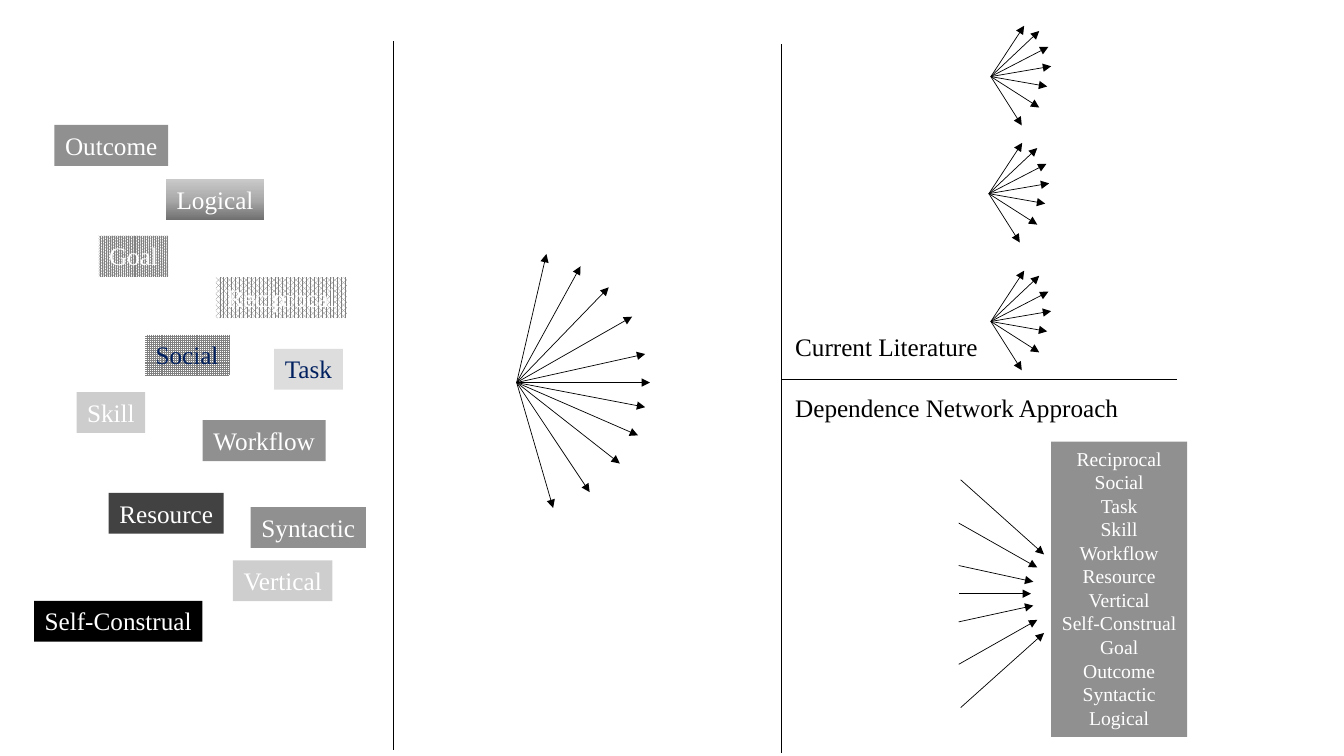
from copy import deepcopy
from typing import NamedTuple

from lxml import etree
from pptx import Presentation
from pptx.dml.color import RGBColor
from pptx.enum.dml import MSO_PATTERN
from pptx.enum.shapes import MSO_CONNECTOR, MSO_SHAPE
from pptx.enum.text import MSO_ANCHOR, MSO_AUTO_SIZE, PP_ALIGN
from pptx.oxml.ns import qn
from pptx.util import Cm, Pt

RECTANGLE = MSO_SHAPE.RECTANGLE
STRAIGHT = MSO_CONNECTOR.STRAIGHT
DENSE, MEDIUM, GRID = MSO_PATTERN.PERCENT_90, MSO_PATTERN.PERCENT_75, MSO_PATTERN.SMALL_GRID
CENTER, LEFT = PP_ALIGN.CENTER, PP_ALIGN.LEFT
TOP, FIT_SHAPE = MSO_ANCHOR.TOP, MSO_AUTO_SIZE.SHAPE_TO_FIT_TEXT

FONT = "Times New Roman"
BLACK, WHITE, GRAY, NAVY = "000000", "FFFFFF", "808080", "002060"
LINE_HEIGHT = 1.03

Point = tuple[float, float]


class Solid(NamedTuple):
    color: str = GRAY
    opacity: int = 87


class Pattern(NamedTuple):
    kind: MSO_PATTERN


class Gradient(NamedTuple):
    stops: tuple[tuple[float, str], ...]


class Tag(NamedTuple):
    text: str
    left: float
    top: float
    width: float
    fill: Solid | Pattern | Gradient = Solid()
    color: str = WHITE
    height: float = LINE_HEIGHT
    size: int = 18


# Dependence types, top to bottom
TAGS = [
    Tag("Outcome", 1.37, 3.15, 2.87),
    Tag("Logical", 4.19, 4.52, 2.46, Gradient(((0, "6F6F6F"), (0.48, "A8A8A8"), (1, "C9C9C9")))),
    Tag("Goal", 2.49, 5.94, 1.75, Pattern(DENSE)),
    Tag("Reciprocal", 5.44, 6.99, 3.3, Pattern(MEDIUM)),
    Tag("Social", 3.66, 8.43, 2.11, Pattern(GRID), NAVY),
    Tag("Task", 6.91, 8.79, 1.73, Solid("D9D9D9"), NAVY),
    Tag("Skill", 1.93, 9.88, 1.73, Solid(GRAY, 39)),
    Tag("Workflow", 5.11, 10.59, 3.1),
    Tag("Resource", 2.74, 12.42, 2.9, Solid("262626")),
    Tag("Syntactic", 6.32, 12.78, 2.9),
    Tag("Vertical", 5.87, 14.12, 2.51, Solid(GRAY, 38)),
    Tag("Self-Construal", 0.86, 15.14, 4.24, Solid(BLACK, 100)),
]
NETWORK_TYPES = ["Reciprocal", "Social", "Task", "Skill", "Workflow", "Resource", "Vertical",
                 "Self-Construal", "Goal", "Outcome", "Syntactic", "Logical"]
NETWORK = Tag("\n".join(NETWORK_TYPES), 26.49, 11.13, 3.43, height=7.44, size=14)

DIVIDERS = [((9.91, 1.04), (9.91, 18.9)), ((19.69, 1.12), (19.69, 18.97)),
            ((19.69, 9.55), (29.67, 9.55))]

# Fans: arrow tips relative to the point they start from
LARGE_ORIGIN = (13.02, 9.64)
LARGE_TIPS = [(0.75, -3.24), (1.61, -2.93), (2.32, -2.4), (2.91, -1.66), (3.24, -0.72), (3.36, 0),
              (3.24, 0.62), (3.06, 1.33), (2.6, 2.04), (1.84, 2.76), (0.92, 3.16)]
SMALL_ORIGINS = [(24.97, 1.93), (24.92, 4.88), (24.97, 8.1)]
SMALL_TIPS = [(0.84, -1.28), (1.22, -1.15), (1.45, -0.75), (1.52, -0.26),
              (1.42, 0.25), (1.22, 0.78), (0.78, 1.23)]

# Converging arrows: start x, end x, and both distances from the axis
AXIS = 14.96
CONVERGING = [(24.21, 26.31, 2.87, 0.99), (24.16, 26.14, 1.78, 0.66), (24.16, 26.04, 0.71, 0.3)]


def rgb(color: str) -> RGBColor:
    return RGBColor.from_string(color)


def add_line(shapes, start: Point, end: Point, arrow: bool = False) -> None:
    line = shapes.add_connector(STRAIGHT, *(Cm(value) for value in (*start, *end)))
    line.line.color.rgb = rgb(BLACK)
    line.line.width = Pt(0.5)
    if arrow:
        etree.SubElement(line.line._get_or_add_ln(), qn("a:tailEnd"), type="triangle")
    etree.SubElement(line._element.spPr, qn("a:effectLst"))


def add_fan(shapes, origin: Point, tips: list[Point]) -> None:
    group = shapes.add_group_shape()
    for dx, dy in tips:
        add_line(group.shapes, origin, (origin[0] + dx, origin[1] + dy), arrow=True)


def write(box, text: str, size: int, color: str, alignment: PP_ALIGN) -> None:
    frame = box.text_frame
    frame.text = text
    frame.word_wrap = False
    frame.auto_size = FIT_SHAPE
    frame.vertical_anchor = TOP
    for para in frame.paragraphs:
        para.alignment = alignment
        for span in para.runs:
            span.font.name = FONT
            span.font.size = Pt(size)
            span.font.color.rgb = rgb(color)


def paint(box, style: Solid | Pattern | Gradient) -> None:
    fill = box.fill
    properties = box._element.spPr
    if isinstance(style, Solid):
        fill.solid()
        fill.fore_color.rgb = rgb(style.color)
        if style.opacity < 100:
            color = properties.find(qn("a:solidFill"))[0]
            etree.SubElement(color, qn("a:alpha"), val=str(style.opacity * 1000))
    elif isinstance(style, Pattern):
        fill.patterned()
        fill.pattern = style.kind
        fill.fore_color.rgb = rgb(GRAY)
        fill.back_color.rgb = rgb(WHITE)
    else:
        fill.gradient()
        fill.gradient_angle = 90
        stop_list = properties.find(f"{qn('a:gradFill')}/{qn('a:gsLst')}")
        stop_list.append(deepcopy(stop_list[0]))
        for stop, (position, color) in zip(fill.gradient_stops, style.stops):
            stop.position = position
            stop.color.rgb = rgb(color)


def add_tag(shapes, tag: Tag) -> None:
    box = shapes.add_shape(RECTANGLE, Cm(tag.left), Cm(tag.top), Cm(tag.width), Cm(tag.height))
    box.shadow.inherit = False
    box.line.fill.background()
    paint(box, tag.fill)
    write(box, tag.text, tag.size, tag.color, CENTER)


def add_label(shapes, text: str, top: float, width: float) -> None:
    box = shapes.add_textbox(Cm(19.79), Cm(top), Cm(width), Cm(LINE_HEIGHT))
    write(box, text, 18, BLACK, LEFT)


deck = Presentation()
deck.slide_width, deck.slide_height = Cm(33.87), Cm(19.05)
page = deck.slides.add_slide(deck.slide_layouts[6])
shapes = page.shapes

# Panels
for start, end in DIVIDERS:
    add_line(shapes, start, end)
add_label(shapes, "Current Literature", 8.23, 5.16)
add_label(shapes, "Dependence Network Approach", 9.75, 8.74)

# Tags and network box
for tag in [*TAGS, NETWORK]:
    add_tag(shapes, tag)

# Diverging arrows
add_fan(shapes, LARGE_ORIGIN, LARGE_TIPS)
for origin in SMALL_ORIGINS:
    add_fan(shapes, origin, SMALL_TIPS)

# Converging arrows, mirrored about the axis
add_line(shapes, (24.18, AXIS), (25.98, AXIS), arrow=True)
for side in (-1, 1):
    for start_x, end_x, start_gap, end_gap in CONVERGING:
        add_line(shapes, (start_x, AXIS + side * start_gap), (end_x, AXIS + side * end_gap), arrow=True)

deck.save("out.pptx")
